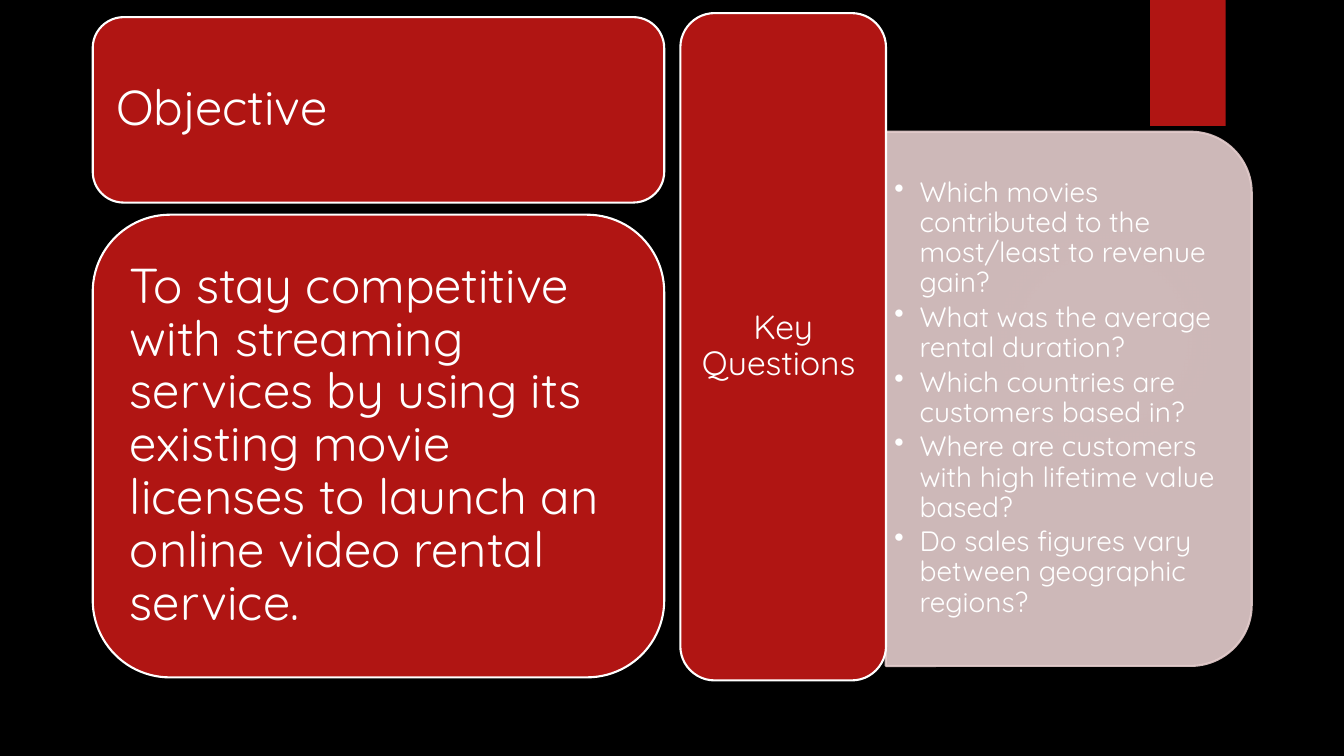
from lxml import etree
from pptx import Presentation
from pptx import util as u
from pptx.dml import color
from pptx.enum import shapes, text
from pptx.oxml import ns

objective = "Objective"
statement = ("To stay competitive with streaming services by using its existing movie "
             "licenses to launch an online video rental service.")
key_heading = "Key Questions "
questions = [
    "Which movies contributed to the most/least to revenue gain?",
    "What was the average rental duration?",
    "Which countries are customers based in?",
    "Where are customers with high lifetime value based?",
    "Do sales figures vary between geographic regions?",
]

theme = {
    "font": "Quicksand", "back": "000000", "red": "B01513", "white": "FFFFFF",
    "panel": "E4CCCC", "glow": "50B9C1", "panel_alpha": 90,
    "glow_stops": [(0, 7), (36, 6), (69, 0)],
    "large": 35, "heading": 24, "list": 20, "outline": 1.5,
}

left_x, left_w = 66.24, 408.24
objective_box = (left_x, 12.24, left_w, 132.48)
statement_box = (left_x, 153.36, left_w, 330.48)
key_box = (486, 9.36, 146.88, 476.64)
panel_box = (632.7, 94.1, 261.4, 381.6)
questions_box = (632.88, 106.56, 248.4, 355.68)
tab_box = (821.52, 0, 54, 90)
glow_box = (677.52, 131.76, 221.76, 221.76)

deck = Presentation()
deck.slide_width, deck.slide_height = u.Pt(960), u.Pt(540)
slide = deck.slides.add_slide(deck.slide_layouts[6])
slide.background.fill.solid()
slide.background.fill.fore_color.rgb = color.RGBColor.from_string(theme["back"])


def add_alpha(colour, percent):
    etree.SubElement(colour, ns.qn("a:alpha"), val=str(percent * 1000))


def draw(kind, box, fill, outline=None):
    block = slide.shapes.add_shape(kind, *map(u.Pt, box))
    block.shadow.inherit = False
    block.fill.solid()
    block.fill.fore_color.rgb = color.RGBColor.from_string(fill)
    if outline:
        block.line.color.rgb = color.RGBColor.from_string(outline)
        block.line.width = u.Pt(theme["outline"])
    else:
        block.line.fill.background()
    return block


def write(block, lines, size, after, insets, align=text.PP_ALIGN.LEFT):
    frame = block.text_frame
    frame.word_wrap = True
    frame.auto_size = text.MSO_AUTO_SIZE.NONE
    frame.vertical_anchor = text.MSO_ANCHOR.MIDDLE
    frame.margin_left = frame.margin_right = u.Pt(insets[0])
    frame.margin_top = frame.margin_bottom = u.Pt(insets[1])
    frame.text = "\n".join(lines)
    for paragraph in frame.paragraphs:
        paragraph.alignment = align
        paragraph.line_spacing = 0.9
        paragraph.space_after = u.Pt(after)
        for run in paragraph.runs:
            run.font.name = theme["font"]
            run.font.size = u.Pt(size)
            run.font.color.rgb = color.RGBColor.from_string(theme["white"])
    return frame


glow = draw(shapes.MSO_SHAPE.OVAL, glow_box, theme["glow"])
solid = glow.element.spPr.find(ns.qn("a:solidFill"))
gradient = etree.Element(ns.qn("a:gradFill"), rotWithShape="1")
stops = etree.SubElement(gradient, ns.qn("a:gsLst"))
for position, alpha in theme["glow_stops"]:
    stop = etree.SubElement(stops, ns.qn("a:gs"), pos=str(position * 1000))
    add_alpha(etree.SubElement(stop, ns.qn("a:srgbClr"), val=theme["glow"]), alpha)
circle = etree.SubElement(gradient, ns.qn("a:path"), path="circle")
etree.SubElement(circle, ns.qn("a:fillToRect"), l="50000", t="50000", r="50000", b="50000")
solid.getparent().replace(solid, gradient)

draw(shapes.MSO_SHAPE.RECTANGLE, tab_box, theme["red"])

for box, words in [(objective_box, objective), (statement_box, statement)]:
    card = draw(shapes.MSO_SHAPE.ROUNDED_RECTANGLE, box, theme["red"], theme["white"])
    write(card, [words], theme["large"], 12.25, (10.5, 10.5))

x, y, width, height = panel_box
turned_box = (x + (width - height) / 2, y + (height - width) / 2, height, width)
panel = draw(shapes.MSO_SHAPE.ROUND_2_SAME_RECTANGLE, turned_box, theme["panel"], theme["panel"])
panel.rotation = 90
for tint in panel.element.spPr.iter(ns.qn("a:srgbClr")):
    add_alpha(tint, theme["panel_alpha"])

question_list = slide.shapes.add_textbox(*map(u.Pt, questions_box))
for paragraph in write(question_list, questions, theme["list"], 3, (6, 3)).paragraphs:
    properties = paragraph._p.get_or_add_pPr()
    properties.set("marL", str(u.Pt(18)))
    properties.set("indent", str(u.Pt(-18)))
    etree.SubElement(properties, ns.qn("a:buChar"), char="•")

key_card = draw(shapes.MSO_SHAPE.ROUNDED_RECTANGLE, key_box, theme["red"], theme["white"])
write(key_card, [key_heading], theme["heading"], 8.4, (7.2, 3.6), text.PP_ALIGN.CENTER)

deck.save("out.pptx")
